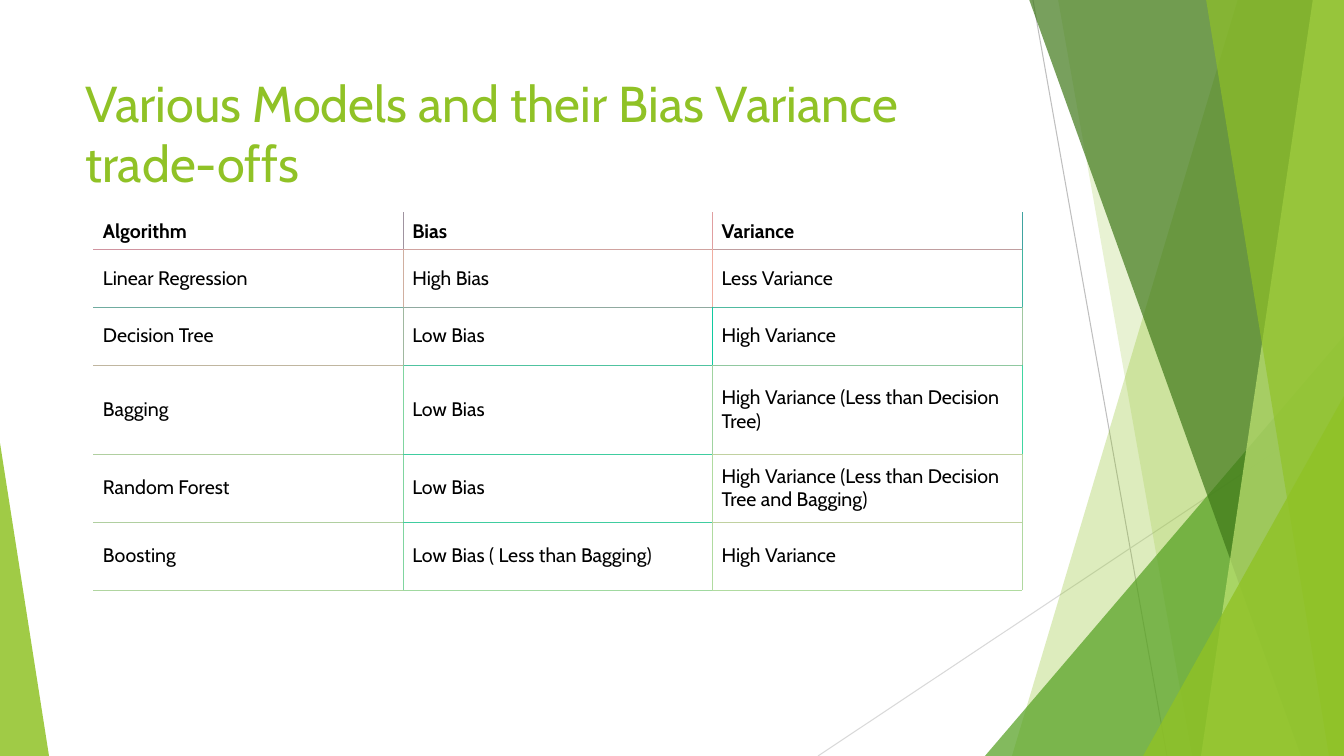
from lxml.etree import SubElement
from pptx import Presentation
from pptx.dml.color import RGBColor
from pptx.enum.shapes import MSO_CONNECTOR, MSO_SHAPE
from pptx.enum.text import MSO_ANCHOR, PP_ALIGN
from pptx.oxml.ns import qn
from pptx.util import Pt

SLIDE_W, SLIDE_H = 1344, 756
EMU_PER_PX = 12192000 / SLIDE_W
FONT = "Cabin"
LIME, GREEN, FOREST, PALE = "90C226", "54A021", "3F7819", "C0E474"

RAYS = [  # start, end, colour
    ((1033, 0), (1167, 756), "BFBFBF"),
    ((1344, 406), (818, 756), "D9D9D9"),
]
# Bands run to the right edge of the slide: top-left x, bottom-left x, colour, opacity %
BACK_BANDS = [(1238, 1012, LIME, 30), (1058, 1192, LIME, 20)]
FRONT_BANDS = [(1029, 1301, FOREST, 70), (1313, 1201, PALE, 70), (1206, 1329, LIME, 65)]
# Wedges stand on the bottom edge: left, top, width, apex position, colour, opacity %
BACK_WEDGES = [(985, 336, 359, 1, GREEN, 72)]
FRONT_WEDGES = [(1143, 396, 201, 1, LIME, 80), (0, 443, 49, 0, LIME, 85)]

MODELS = [
    ["Algorithm", "Bias", "Variance"],
    ["Linear Regression", "High Bias", "Less Variance"],
    ["Decision Tree", "Low Bias", "High Variance"],
    ["Bagging", "Low Bias", "High Variance (Less than Decision Tree)"],
    ["Random Forest", "Low Bias", "High Variance (Less than Decision Tree and Bagging)"],
    ["Boosting", "Low Bias ( Less than Bagging)", "High Variance"],
]
ROW_HEIGHTS = [36, 58, 58, 89, 68, 68]
RIGHT_EDGES = [
    ["A094A0", "E09FA0", "40A3A0"],
    ["D0AFA0", "F0ADA0", "40B5A0"],
    ["A0B8A0", "10CAA0", "A0C7A0"],
    ["80D5A0", "A0D3A0", "40D6A0"],
    ["80D5A0", "B0DBA0", "B0D8A0"],
    ["80D5A0", "B0DBA0", "B0D8A0"],
]
BOTTOM_EDGES = [
    ["D094A0", "D0A3A0", "C09EA0"],
    ["70ACA0", "90AAA0", "50BAA0"],
    ["C0B6A0", "50C3A0", "90C8A0"],
    ["B0CFA0", "40CDA0", "C0D1A0"],
    ["B0CFA0", "40CDA0", "C0D1A0"],
    ["B0D5A0", "A0D9A0", "B0DBA0"],
]


def px(length):
    return round(length * EMU_PER_PX)


def rgb(hex_colour):
    return RGBColor.from_string(hex_colour)


def set_all(target, values):
    for name, value in values.items():
        setattr(target, name, value)


def tint(shape, colour, opacity):
    shape.shadow.inherit = False
    shape.line.fill.background()
    shape.fill.solid()
    shape.fill.fore_color.rgb = rgb(colour)
    solid = shape.fill._xPr.find(qn("a:solidFill"))
    SubElement(solid[0], qn("a:alpha"), val=str(opacity * 1000))


def add_ray(shapes, start, end, colour):
    ray = shapes.add_connector(MSO_CONNECTOR.STRAIGHT, *map(px, start + end))
    set_all(ray.line, {"width": Pt(0.75)})
    ray.line.color.rgb = rgb(colour)
    SubElement(ray.element.spPr, qn("a:effectLst"))


def add_band(shapes, top_x, bottom_x, colour, opacity):
    outline = shapes.build_freeform(top_x, -1, scale=EMU_PER_PX)
    outline.add_line_segments([(SLIDE_W, -1), (SLIDE_W, SLIDE_H), (bottom_x, SLIDE_H)])
    tint(outline.convert_to_shape(), colour, opacity)


def add_wedge(shapes, left, top, width, apex, colour, opacity):
    box = map(px, (left, top, width, SLIDE_H - top))
    wedge = shapes.add_shape(MSO_SHAPE.ISOSCELES_TRIANGLE, *box)
    wedge.adjustments[0] = apex
    tint(wedge, colour, opacity)


def add_facets(shapes):
    """Draw the translucent green facets from back to front."""
    for add_part, parts in (
        (add_ray, RAYS),
        (add_band, BACK_BANDS),
        (add_wedge, BACK_WEDGES),
        (add_band, FRONT_BANDS),
        (add_wedge, FRONT_WEDGES),
    ):
        for part in parts:
            add_part(shapes, *part)


def write(frame, text, size, colour, bold=False):
    frame.text = text
    paragraph = frame.paragraphs[0]
    paragraph.alignment = PP_ALIGN.LEFT
    font = paragraph.runs[0].font
    set_all(font, {"name": FONT, "size": Pt(size), "bold": bold})
    font.color.rgb = rgb(colour)


def place_title(title, left, top, width, height):
    set_all(title, {"left": px(left), "top": px(top), "width": px(width), "height": px(height)})
    set_all(title.text_frame, {"word_wrap": True, "vertical_anchor": MSO_ANCHOR.TOP})
    write(title.text_frame, "Various Models and their Bias Variance trade-offs", 36, LIME)
    title.element.getparent().append(title.element)  # in front of the facets


def add_borders(cell, row, col):
    """Give each side the colour of the grid line it shares with its neighbour."""
    sides = {
        "a:lnL": RIGHT_EDGES[row][col - 1] if col else None,
        "a:lnR": RIGHT_EDGES[row][col],
        "a:lnT": BOTTOM_EDGES[row - 1][col] if row else None,
        "a:lnB": BOTTOM_EDGES[row][col],
    }
    properties = cell._tc.get_or_add_tcPr()
    for tag, colour in sides.items():
        if colour:
            edge = SubElement(properties, qn(tag), w=str(Pt(0.6)))
            SubElement(SubElement(edge, qn("a:solidFill")), qn("a:srgbClr"), val=colour)


def add_models_table(shapes, left, top, width):
    columns = len(MODELS[0])
    box = map(px, (left, top, width, sum(ROW_HEIGHTS)))
    table = shapes.add_table(len(MODELS), columns, *box).table
    set_all(table, {"first_row": False, "horz_banding": False})
    for column in table.columns:
        column.width = px(width / columns)
    cell_format = {
        "margin_left": px(9), "margin_right": px(9),
        "margin_top": px(6), "margin_bottom": px(6),
        "vertical_anchor": MSO_ANCHOR.MIDDLE,
    }
    for row, texts in enumerate(MODELS):
        table.rows[row].height = px(ROW_HEIGHTS[row])
        for col, text in enumerate(texts):
            cell = table.cell(row, col)
            set_all(cell, cell_format)
            add_borders(cell, row, col)
            cell.fill.solid()
            cell.fill.fore_color.rgb = rgb("FFFFFF")
            write(cell.text_frame, text, 14, "000000", bold=row == 0)


def main():
    deck = Presentation()
    set_all(deck, {"slide_width": px(SLIDE_W), "slide_height": px(SLIDE_H)})
    slide = deck.slides.add_slide(deck.slide_layouts[5])
    add_facets(slide.shapes)
    place_title(slide.shapes.title, 75, 67, 947, 146)
    add_models_table(slide.shapes, 94, 213, 928)
    deck.save("out.pptx")


if __name__ == "__main__":
    main()
